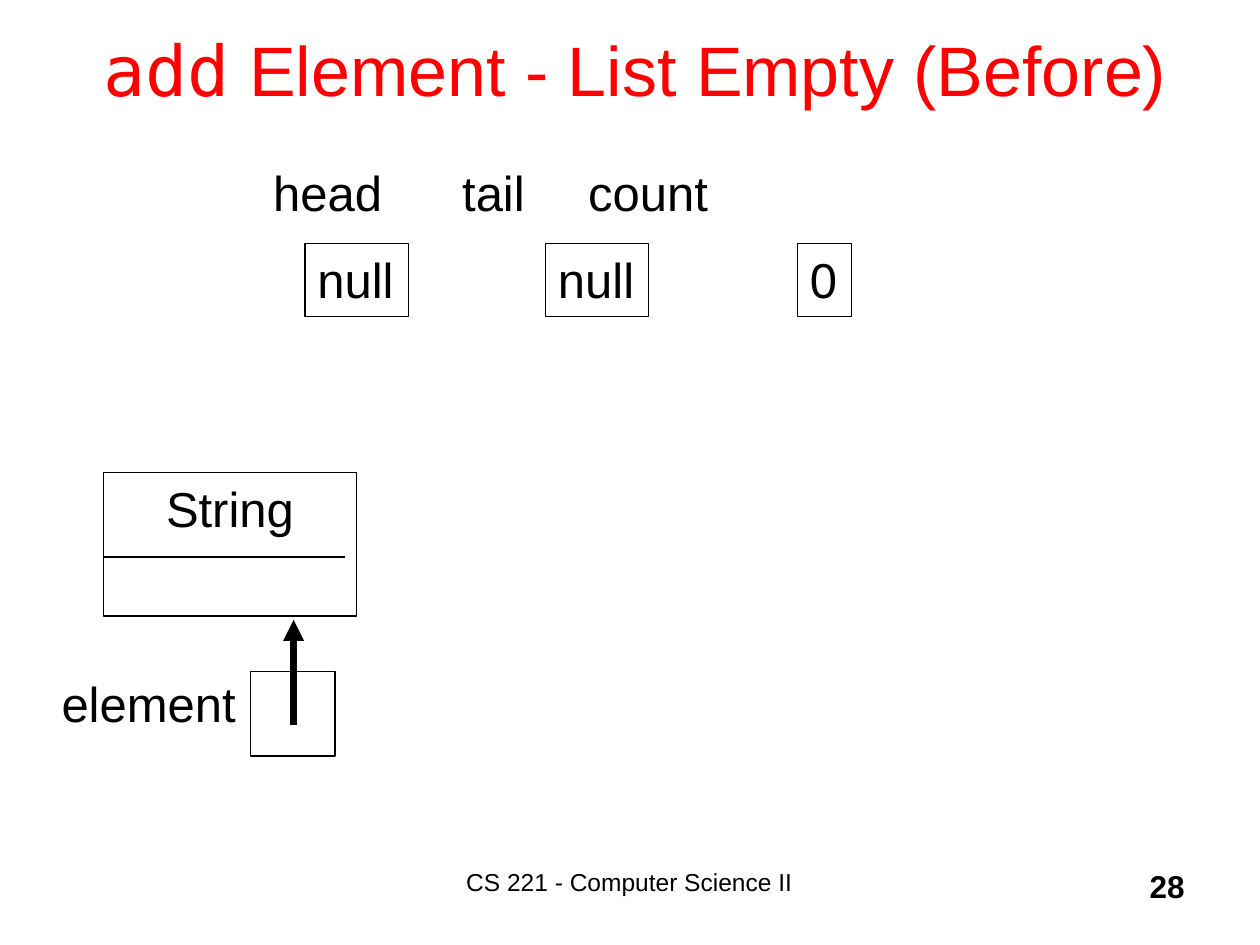
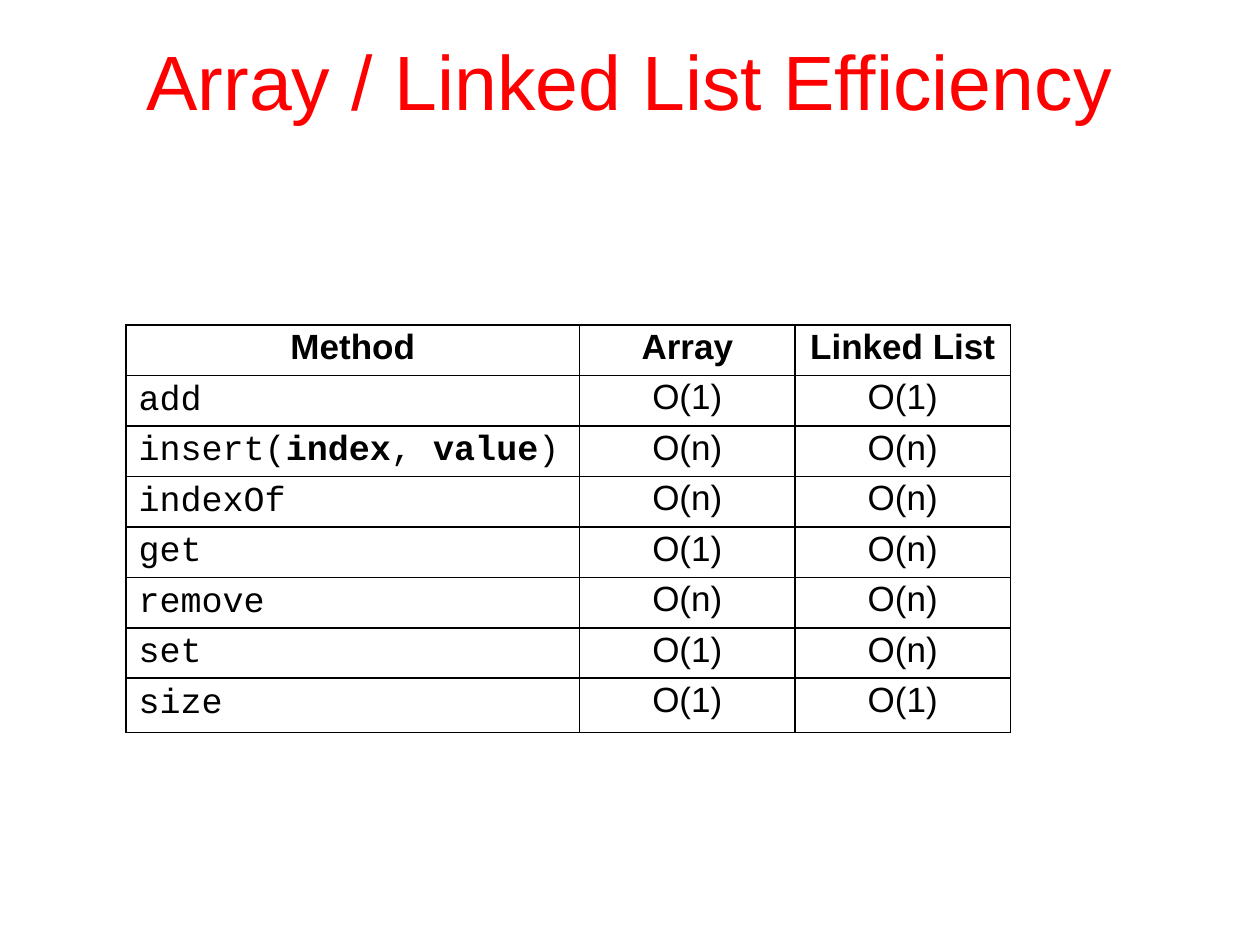
from lxml import etree
from pptx import Presentation
from pptx import util as u
from pptx.dml.color import RGBColor
from pptx.enum import shapes, text
from pptx.oxml import ns

BLACK = RGBColor(0x00, 0x00, 0x00)
RED = RGBColor(0xFF, 0x00, 0x00)
SANS, CODE, TITLE_CODE = "Arial", "Courier New", "DejaVu Sans Mono"
LEFT, CENTER, RIGHT = text.PP_ALIGN.LEFT, text.PP_ALIGN.CENTER, text.PP_ALIGN.RIGHT
TOP, MIDDLE = text.MSO_ANCHOR.TOP, text.MSO_ANCHOR.MIDDLE

TITLE = {"size": u.Pt(44), "color": RED}
LABEL = {"size": u.Pt(28)}
FOOTER = {"size": u.Pt(14)}
PAGE_NUMBER = {"size": u.Pt(18), "bold": True}
CELL = {"size": u.Pt(20)}
HEADER_CELL = CELL | {"bold": True}
CODE_CELL = CELL | {"name": CODE}

METHODS = [
    ([("add", False)], "O(1)", "O(1)"),
    ([("insert(", False), ("index", True), (", ", False), ("value", True), (")", False)], "O(n)", "O(n)"),
    ([("indexOf", False)], "O(n)", "O(n)"),
    ([("get", False)], "O(1)", "O(n)"),
    ([("remove", False)], "O(n)", "O(n)"),
    ([("set", False)], "O(1)", "O(n)"),
    ([("size", False)], "O(1)", "O(1)"),
]


def inches(box):
    return [u.Inches(length) for length in box]


def add_child(parent, tag, **attributes):
    return etree.SubElement(parent, ns.qn(tag), attributes)


def add_run(paragraph, words, style):
    run = paragraph.add_run()
    run.text = words
    values = {"name": SANS, "bold": False, "color": BLACK} | style
    run.font.color.rgb = values.pop("color")
    for name, value in values.items():
        setattr(run.font, name, value)


def write(frame, runs, align=LEFT, anchor=TOP, wrap=True, space_before=None):
    frame.word_wrap = wrap
    frame.vertical_anchor = anchor
    paragraph = frame.paragraphs[0]
    paragraph.alignment = align
    if space_before:
        spacing = add_child(paragraph._p.get_or_add_pPr(), "a:spcBef")
        add_child(spacing, "a:spcPct", val=str(space_before * 1000))
    for words, style in runs:
        add_run(paragraph, words, style)


def add_text(slide, box, runs, **layout):
    write(slide.shapes.add_textbox(*inches(box)).text_frame, runs, **layout)


def add_label(slide, box, words, **layout):
    add_text(slide, box, [(words, LABEL)], space_before=20, **layout)


def add_box(slide, box, words="", **layout):
    shape = slide.shapes.add_shape(shapes.MSO_SHAPE.RECTANGLE, *inches(box))
    shape.shadow.inherit = False
    shape.fill.background()
    shape.line.color.rgb = BLACK
    shape.line.width = u.Pt(0.75)
    if words:
        write(shape.text_frame, [(words, LABEL)], space_before=20, **layout)


def add_line(slide, start, end, width=0.75, arrow=False):
    line = slide.shapes.add_connector(shapes.MSO_CONNECTOR.STRAIGHT, *inches(start + end))
    line.line.color.rgb = BLACK
    line.line.width = u.Pt(width)
    if arrow:
        add_child(line.line._get_or_add_ln(), "a:tailEnd", type="triangle")
    add_child(line._element.spPr, "a:effectLst")


def add_title(slide, box, runs):
    add_text(slide, box, runs, align=CENTER, anchor=MIDDLE)


def add_footer(slide, number):
    add_text(slide, (3.08, 6.83, 3.83, 0.5), [("CS 221 - Computer Science II", FOOTER)], align=CENTER)
    add_text(slide, (7.42, 6.83, 2.08, 0.5), [(number, PAGE_NUMBER)], align=RIGHT)


def add_list_fields(slide, left, top):
    add_label(slide, (left, top, 5.2, 1.7), "head\t\ttail\t\tcount", anchor=MIDDLE)
    for offset, width, value in [(0.35, 0.82, "null"), (2.26, 0.82, "null"), (4.26, 0.43, "0")]:
        add_box(slide, (left + offset, top + 1.26, width, 0.58), value, wrap=False)


def add_string_object(slide, left, top):
    add_box(slide, (left, top, 2.01, 1.14), "String", align=CENTER)
    add_line(slide, (left, top + 0.67), (left + 1.92, top + 0.67))


def add_element_reference(slide, left, top):
    add_label(slide, (left, top, 1.6, 0.57), "element", wrap=False)
    add_box(slide, (left + 1.6, top + 0.03, 0.67, 0.67))
    tip = left + 1.94
    add_line(slide, (tip, top + 0.45), (tip, top - 0.38), width=4, arrow=True)


def add_borders(cell):
    properties = cell._tc.get_or_add_tcPr()
    for position, side in enumerate(("a:lnL", "a:lnR", "a:lnT", "a:lnB")):
        border = etree.Element(ns.qn(side), w=str(u.Pt(1)))
        fill = add_child(border, "a:solidFill")
        add_child(fill, "a:srgbClr", val=str(BLACK))
        properties.insert(position, border)


def fill_cell(cell, runs, align):
    cell.fill.background()
    margins = {"margin_left": 0.1, "margin_right": 0.1, "margin_top": 0.05, "margin_bottom": 0.05}
    for name, value in margins.items():
        setattr(cell, name, u.Inches(value))
    paragraph = cell.text_frame.paragraphs[0]
    paragraph.alignment = align
    paragraph.line_spacing = 0.9
    for words, style in runs:
        add_run(paragraph, words, style)
    add_borders(cell)


def add_efficiency_table(slide, box):
    table = slide.shapes.add_table(len(METHODS) + 1, 3, *inches(box)).table
    table.first_row = table.horz_banding = False
    for column, width in zip(table.columns, (3.6, 1.71, 1.71)):
        column.width = u.Inches(width)
    for row in table.rows:
        row.height = u.Inches(0.4)
    table.rows[len(METHODS)].height = u.Inches(0.43)
    for column, heading in enumerate(("Method", "Array", "Linked List")):
        fill_cell(table.cell(0, column), [(heading, HEADER_CELL)], CENTER)
    for row, (signature, *costs) in enumerate(METHODS, 1):
        runs = [(words, CODE_CELL | {"bold": bold}) for words, bold in signature]
        fill_cell(table.cell(row, 0), runs, LEFT)
        for column, cost in enumerate(costs, 1):
            fill_cell(table.cell(row, column), [(cost, CELL)], CENTER)


def build_empty_list_slide(slide):
    add_footer(slide, "28")
    style = TITLE | {"size": u.Pt(40)}
    runs = [("add", style | {"name": TITLE_CODE}), (" Element - List Empty (Before)", style)]
    add_title(slide, (0.58, -0.08, 8.92, 1.25), runs)
    add_list_fields(slide, 2.07, 0.67)
    add_string_object(slide, 0.82, 3.75)
    add_element_reference(slide, 0.39, 5.3)


def build_efficiency_slide(slide):
    add_title(slide, (0.75, 0.01, 8.5, 1.25), [("Array / Linked List Efficiency", TITLE)])
    add_efficiency_table(slide, (1, 2.58, 7.02, 3.23))


def main():
    presentation = Presentation()
    presentation.slide_width = u.Inches(10)
    presentation.slide_height = u.Inches(7.5)
    for build in (build_empty_list_slide, build_efficiency_slide):
        build(presentation.slides.add_slide(presentation.slide_layouts[6]))
    presentation.save("out.pptx")


if __name__ == "__main__":
    main()
